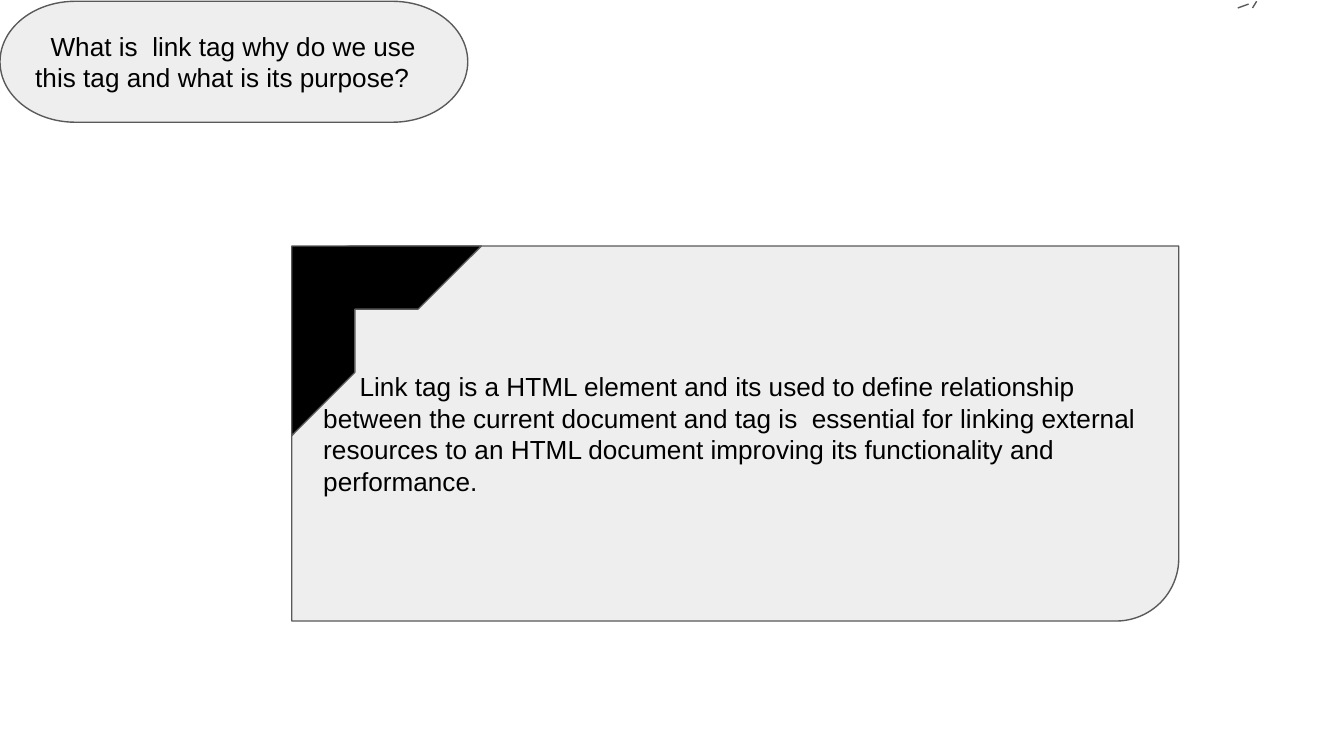
"""Build a slide that asks and answers what the HTML link tag is for."""
import pptx
import pptx.dml.color
import pptx.enum.shapes
import pptx.enum.text
import pptx.oxml
import pptx.oxml.ns
import pptx.util

Pt = pptx.util.Pt
Shape = pptx.enum.shapes.MSO_SHAPE

COLOURS = {"panel": "EEEEEE", "outline": "595959", "ink": "000000"}
QUESTION = "What is  link tag why do we use this tag and what is its purpose?"
ANSWER = (
    "Link tag is a HTML element and its used to define relationship "
    "between the current document and tag is  essential for linking external "
    "resources to an HTML document improving its functionality and performance."
)
CARD_LEFT, CARD_TOP = 156.3, 131.8
BOXES = [
    {"kind": Shape.ROUND_2_DIAG_RECTANGLE, "at": (CARD_LEFT, CARD_TOP, 475.2, 200.9),
     "adjust": (0.167, 0), "fill": "panel", "text": ANSWER, "indent": 19.5},
    {"kind": Shape.FLOWCHART_TERMINATOR, "at": (0, 0.7, 250.6, 64.8),
     "adjust": (), "fill": "panel", "text": QUESTION, "indent": 8.2},
    {"kind": Shape.HALF_FRAME, "at": (CARD_LEFT, CARD_TOP, 101.5, 101.5),
     "adjust": (0.333, 0.333), "fill": "ink", "text": "", "indent": 0},
]
STROKES = [(673.2, 0.7, 671, 4.3), (663.1, 4.3, 668.9, 2.2)]


def colour(name):
    return pptx.dml.color.RGBColor.from_string(COLOURS[name])


def outline(item):
    item.line.color.rgb = colour("outline")
    item.line.width = Pt(0.75)


def add_stroke(page, ends):
    stroke = page.shapes.add_connector(
        pptx.enum.shapes.MSO_CONNECTOR.STRAIGHT, *map(Pt, ends))
    outline(stroke)
    properties = stroke._element.spPr
    properties.append(pptx.oxml.parse_xml(
        "<a:effectLst %s/>" % pptx.oxml.ns.nsdecls("a")))


def write(box, text, indent):
    frame = box.text_frame
    frame.word_wrap = True
    frame.vertical_anchor = pptx.enum.text.MSO_ANCHOR.MIDDLE
    frame.margin_left = frame.margin_right = Pt(7.2)
    frame.margin_top = frame.margin_bottom = Pt(7.2)
    para = frame.paragraphs[0]
    para.text = text
    para.alignment = pptx.enum.text.PP_ALIGN.LEFT
    para.font.name = "Arial"
    para.font.size = Pt(14)
    para.font.color.rgb = colour("ink")
    para._p.get_or_add_pPr().set("indent", str(Pt(indent)))


def add_box(page, item):
    box = page.shapes.add_shape(item["kind"], *map(Pt, item["at"]))
    box.shadow.inherit = False
    for index, value in enumerate(item["adjust"]):
        box.adjustments[index] = value
    box.fill.solid()
    box.fill.fore_color.rgb = colour(item["fill"])
    outline(box)
    if item["text"]:
        write(box, item["text"], item["indent"])


def main():
    deck = pptx.Presentation()
    deck.slide_width, deck.slide_height = Pt(720), Pt(405)
    page = deck.slides.add_slide(deck.slide_layouts[6])
    for ends in STROKES:
        add_stroke(page, ends)
    for item in BOXES:
        add_box(page, item)
    deck.save("out.pptx")


if __name__ == "__main__":
    main()
